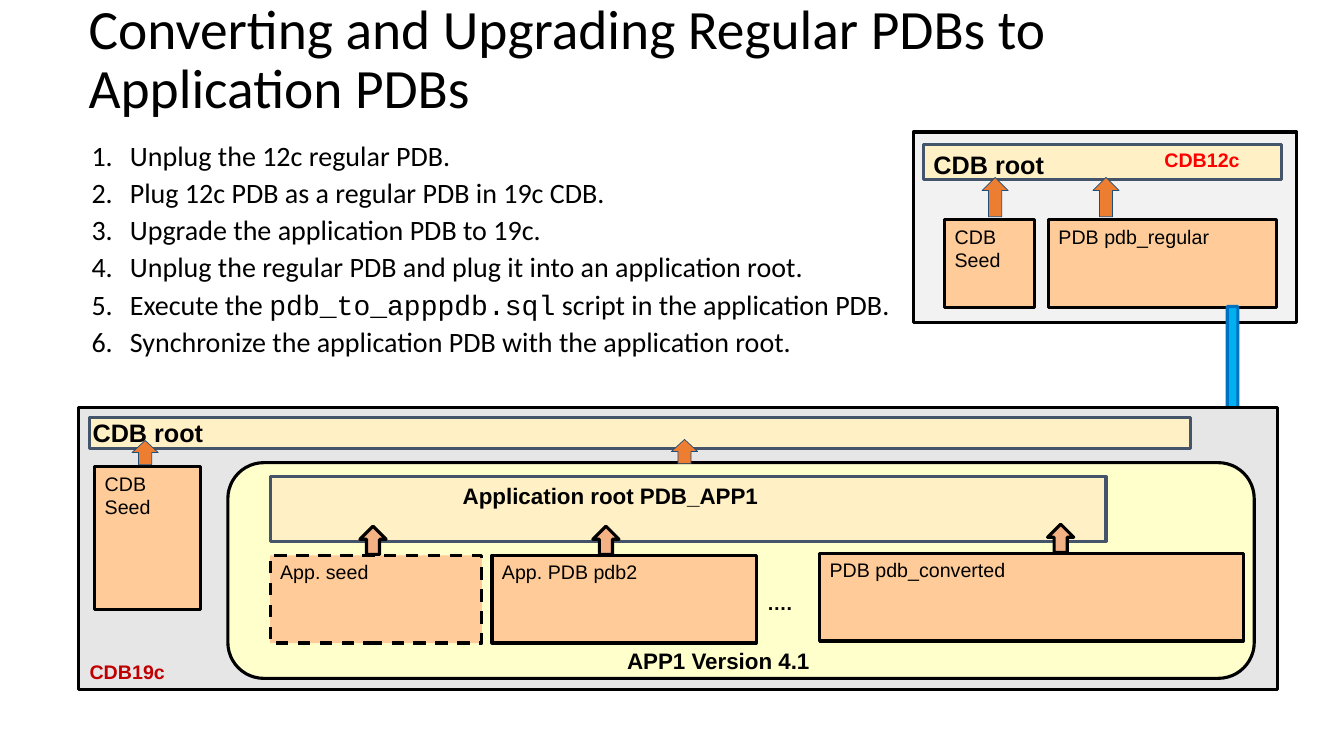
from dataclasses import dataclass
from typing import Optional

from lxml.etree import SubElement
from pptx import Presentation
from pptx.dml.color import RGBColor
from pptx.enum.dml import MSO_LINE
from pptx.enum.shapes import MSO_SHAPE
from pptx.enum.text import MSO_ANCHOR, MSO_AUTO_SIZE, PP_ALIGN
from pptx.oxml.ns import qn
from pptx.util import Emu, Pt

PX = 9144  # 100 px to the inch


@dataclass(frozen=True)
class Theme:
    black: str = "000000"
    new_container: str = "E7E6E6"
    old_container: str = "F2F2F2"
    pdb: str = "FFCC99"
    root: str = "FFF0C5"
    root_line: str = "44546A"
    application: str = "FFFFCC"
    link: str = "ED7D31"
    link_line: str = "1F4E79"
    application_link: str = "F4B183"
    move: str = "00B0F0"
    move_line: str = "0070C0"
    old_name: str = "FF0000"
    new_name: str = "C00000"
    body_font: str = "Calibri"
    label_font: str = "Arial"
    code_font: str = "Courier New"
    title_size: float = 39.6
    body_size: float = 20
    root_size: float = 18
    application_size: float = 16
    label_size: float = 14


THEME = Theme()


@dataclass(frozen=True)
class Box:
    left: int
    top: int
    width: int
    height: int
    fill: str
    line: str = THEME.black
    line_width: float = 2.25
    kind: MSO_SHAPE = MSO_SHAPE.RECTANGLE
    text: str = ""
    size: float = THEME.label_size
    bold: bool = False
    align: PP_ALIGN = PP_ALIGN.LEFT
    insets: tuple[int, int] = (10, 10)
    dash: Optional[MSO_LINE] = None


@dataclass(frozen=True)
class Label:
    left: int
    top: int
    width: int
    height: int
    text: str
    size: float = THEME.label_size
    color: str = THEME.black
    align: PP_ALIGN = PP_ALIGN.LEFT


def set_values(target, values: dict) -> None:
    for name, value in values.items():
        setattr(target, name, value)


def add_run(paragraph, text: str, font: str, size: float,
            color: str = THEME.black, bold: bool = False) -> None:
    run = paragraph.add_run()
    run.text = text
    set_values(run.font, {"name": font, "size": Pt(size), "bold": bold})
    run.font.color.rgb = RGBColor.from_string(color)


def lengths(*values: int) -> list[Emu]:
    return [Emu(value * PX) for value in values]


def add_box(slide, box: Box) -> None:
    shape = slide.shapes.add_shape(
        box.kind, *lengths(box.left, box.top, box.width, box.height))
    shape.shadow.inherit = False
    shape.fill.solid()
    shape.fill.fore_color.rgb = RGBColor.from_string(box.fill)
    shape.line.color.rgb = RGBColor.from_string(box.line)
    set_values(shape.line, {"width": Pt(box.line_width), "dash_style": box.dash})
    if box.text:
        left, right = lengths(*box.insets)
        set_values(shape.text_frame, {
            "word_wrap": True, "vertical_anchor": MSO_ANCHOR.TOP,
            "margin_left": left, "margin_right": right})
        paragraph = shape.text_frame.paragraphs[0]
        paragraph.alignment = box.align
        add_run(paragraph, box.text, THEME.label_font, box.size, bold=box.bold)


def add_label(slide, label: Label) -> None:
    shape = slide.shapes.add_textbox(
        *lengths(label.left, label.top, label.width, label.height))
    set_values(shape.text_frame, {
        "word_wrap": False, "auto_size": MSO_AUTO_SIZE.SHAPE_TO_FIT_TEXT})
    paragraph = shape.text_frame.paragraphs[0]
    paragraph.alignment = label.align
    add_run(paragraph, label.text, THEME.label_font, label.size, label.color, True)


def add_title(slide, text: str) -> None:
    frame = slide.shapes.add_textbox(*lengths(78, 18, 1079, 85)).text_frame
    set_values(frame, {"word_wrap": True, "vertical_anchor": MSO_ANCHOR.MIDDLE})
    paragraph = frame.paragraphs[0]
    paragraph.line_spacing = 0.9
    add_run(paragraph, text, THEME.body_font, THEME.title_size)


def add_steps(slide, steps: list[list[tuple[str, str]]]) -> None:
    frame = slide.shapes.add_textbox(*lengths(68, 136, 1197, 269)).text_frame
    frame.word_wrap = True
    for index, step in enumerate(steps):
        paragraph = frame.add_paragraph() if index else frame.paragraphs[0]
        set_values(paragraph, {
            "line_spacing": 0.9, "space_before": Pt(5 if index else 0)})
        properties = paragraph._p.get_or_add_pPr()
        properties.set("marL", str(51 * PX))
        properties.set("indent", str(-38 * PX))
        SubElement(properties, qn("a:buFont"), typeface=THEME.body_font)
        SubElement(properties, qn("a:buAutoNum"), type="arabicPeriod")
        for text, font in step:
            add_run(paragraph, text, font, THEME.body_size)


def pdb(left: int, top: int, width: int, text: str, height: int = 87,
        dash: Optional[MSO_LINE] = None) -> Box:
    return Box(left, top, width, height, THEME.pdb, text=text, dash=dash)


def root_link(left: int, top: int, height: int) -> Box:
    return Box(left, top, 26, height, THEME.link, THEME.link_line, 0.5,
               MSO_SHAPE.UP_ARROW)


def application_link(left: int, top: int) -> Box:
    return Box(left, top, 26, 28, THEME.application_link, kind=MSO_SHAPE.UP_ARROW)


STEPS = [
    [("Unplug the 12c regular PDB.", THEME.body_font)],
    [("Plug 12c PDB as a regular PDB in 19c CDB.", THEME.body_font)],
    [("Upgrade the application PDB to 19c.", THEME.body_font)],
    [("Unplug the regular PDB and plug it into an application root.", THEME.body_font)],
    [("Execute the ", THEME.body_font), ("pdb_to_apppdb.sql", THEME.code_font),
     (" script in the application PDB.", THEME.body_font)],
    [("Synchronize the application PDB with the application root.", THEME.body_font)],
]

# Diagram parts, from back to front
DIAGRAM = [
    # Source container database
    Box(906, 131, 380, 189, THEME.old_container),
    pdb(937, 218, 89, "CDB Seed"),
    pdb(1040, 218, 226, "PDB pdb_regular"),
    Box(916, 143, 355, 35, THEME.root, THEME.root_line, text="CDB root",
        size=THEME.root_size, bold=True),
    root_link(974, 176, 39),
    root_link(1084, 176, 39),
    Label(1145, 142, 95, 34, "CDB12c", color=THEME.old_name),
    # Move between the databases
    Box(1212, 304, 21, 228, THEME.move, THEME.move_line, kind=MSO_SHAPE.DOWN_ARROW),
    # Target container database
    Box(78, 404, 1189, 280, THEME.new_container),
    pdb(94, 463, 105, "CDB Seed", height=142),
    # Application container
    Box(226, 459, 1018, 214, THEME.application, kind=MSO_SHAPE.ROUNDED_RECTANGLE),
    Box(268, 473, 829, 64, THEME.root, THEME.root_line,
        text="Application root PDB_APP1", size=THEME.application_size, bold=True,
        align=PP_ALIGN.CENTER, insets=(0, 154)),
    pdb(268, 551, 210, "App. seed", dash=MSO_LINE.DASH),
    pdb(488, 551, 262, "App. PDB pdb2"),
    Label(611, 637, 203, 37, "APP1 Version 4.1", THEME.application_size,
          align=PP_ALIGN.CENTER),
    # Target root and links
    Box(89, 414, 1092, 31, THEME.root, THEME.root_line),
    root_link(131, 437, 24),
    root_link(666, 436, 24),
    application_link(357, 522),
    application_link(588, 522),
    application_link(1039, 520),
    Label(79, 650, 95, 34, "CDB19c", color=THEME.new_name),
    pdb(813, 549, 420, "PDB pdb_converted"),
    Label(751, 581, 45, 34, "…."),
    Label(82, 409, 131, 40, "CDB root", THEME.root_size),
]


def main() -> None:
    presentation = Presentation()
    width, height = lengths(1333, 750)
    set_values(presentation, {"slide_width": width, "slide_height": height})
    slide = presentation.slides.add_slide(presentation.slide_layouts[6])
    add_title(slide, "Converting and Upgrading Regular PDBs to Application PDBs")
    add_steps(slide, STEPS)
    for part in DIAGRAM:
        if isinstance(part, Box):
            add_box(slide, part)
        else:
            add_label(slide, part)
    presentation.save("out.pptx")


if __name__ == "__main__":
    main()
